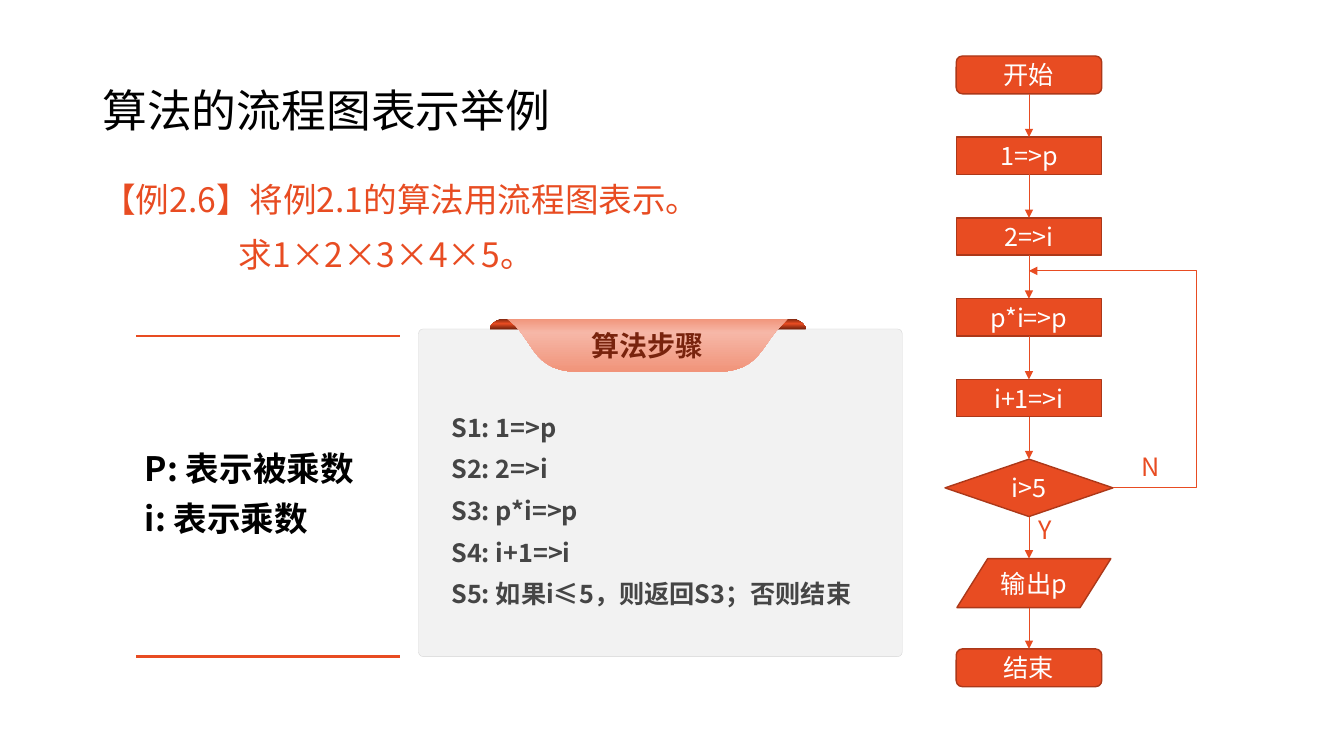
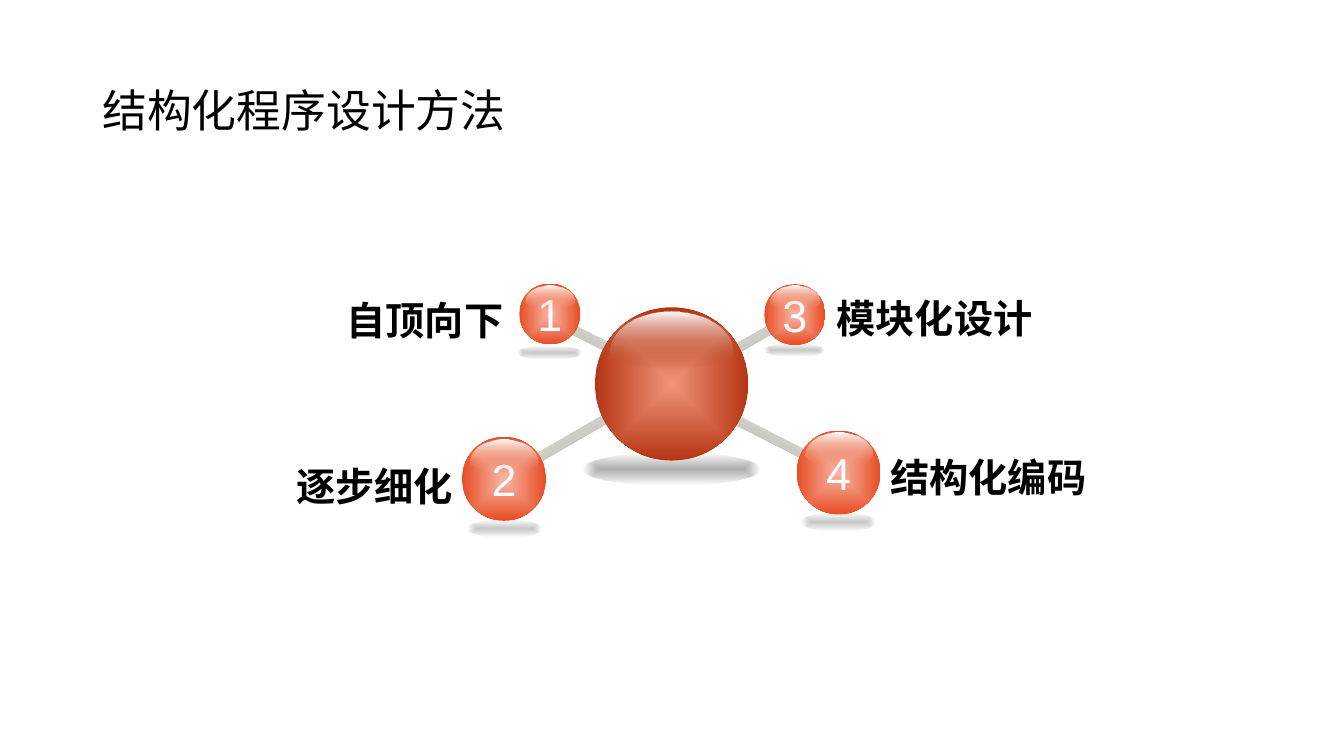
"""Build two slides: a flowchart example and structured programming methods."""
import math

import lxml.etree
import pptx
import pptx.dml.color
import pptx.enum.shapes
import pptx.enum.text
import pptx.oxml.ns
import pptx.util

Pt = pptx.util.Pt
RGB = pptx.dml.color.RGBColor.from_string
MSO = pptx.enum.shapes.MSO_SHAPE
STRAIGHT = pptx.enum.shapes.MSO_CONNECTOR.STRAIGHT
ALIGN = pptx.enum.text.PP_ALIGN
ANCHOR = pptx.enum.text.MSO_ANCHOR
qn = pptx.oxml.ns.qn
SubElement = lxml.etree.SubElement

FONT = "Noto Sans CJK SC"
COLORS = {
    "black": "000000", "white": "FFFFFF", "accent": "E84C22", "edge": "AC3819",
    "dark": "78230D", "deep": "B53513", "coral": "F1947A", "pale": "F6B7A7",
    "panel": "F2F2F2", "panel_edge": "D5D5D5", "gray": "454545",
    "bar_dark": "ABAB9F", "bar_light": "EEEEEC",
}


def add_text(sp, lines, size, color, bold=False, align=ALIGN.LEFT, anchor=ANCHOR.MIDDLE,
             insets=(7.2, 3.6, 7.2, 3.6), spacing=1.0, before=0, after=0, font=FONT):
    tf = sp.text_frame
    tf.word_wrap = True
    tf.vertical_anchor = anchor
    tf.margin_left, tf.margin_top, tf.margin_right, tf.margin_bottom = map(Pt, insets)
    for i, line in enumerate(lines):
        p = tf.add_paragraph() if i else tf.paragraphs[0]
        p.alignment = align
        p.line_spacing = spacing
        p.space_before = Pt(before if i else 0)
        p.space_after = Pt(after)
        r = p.add_run()
        r.text = line
        r.font.name = font
        r.font.size = Pt(size)
        r.font.bold = bold
        r.font.color.rgb = RGB(COLORS[color])
        SubElement(r._r.get_or_add_rPr(), qn("a:ea"), typeface=font)


def add_gradient(sp, stops, radial=False):
    sp.shadow.inherit = False
    sp.line.fill.background()
    sp.fill.gradient()
    grad = sp._element.spPr.find(qn("a:gradFill"))
    for child in list(grad):
        grad.remove(child)
    gs_list = SubElement(grad, qn("a:gsLst"))
    for pos, color, alpha in stops:
        gs = SubElement(gs_list, qn("a:gs"), pos=str(pos * 1000))
        clr = SubElement(gs, qn("a:srgbClr"), val=COLORS[color])
        if alpha < 100:
            SubElement(clr, qn("a:alpha"), val=str(alpha * 1000))
    if radial:
        node = SubElement(grad, qn("a:path"), path="circle" if radial == "circle" else "shape")
        SubElement(node, qn("a:fillToRect"), l="50000", t="50000", r="50000", b="50000")
    else:
        SubElement(grad, qn("a:lin"), ang="5400000", scaled="0")


prs = pptx.Presentation()
prs.slide_width, prs.slide_height = Pt(960), Pt(540)
slides = []
for title in ("算法的流程图表示举例", "结构化程序设计方法"):
    s = prs.slides.add_slide(prs.slide_layouts[6])
    sp = s.shapes.add_textbox(Pt(66), Pt(29), Pt(828), Pt(104))
    add_text(sp, [title], 32, "black", spacing=0.9)
    slides.append(s)

s = slides[0]
sp = s.shapes.add_textbox(Pt(66), Pt(124.5), Pt(600), Pt(90))
add_text(sp, ["【例2.6】将例2.1的算法用流程图表示。", "求1×2×3×4×5。"], 24, "accent",
         anchor=ANCHOR.TOP, before=10)
pPr = sp.text_frame.paragraphs[1]._p.get_or_add_pPr()
pPr.set("marL", str(Pt(97.5)))
pPr.set("indent", "0")

sp = s.shapes.add_textbox(Pt(97.5), Pt(240), Pt(188), Pt(229))
add_text(sp, ["P: 表示被乘数", "i: 表示乘数"], 24, "black", True, ALIGN.JUSTIFY,
         insets=(6, 6, 6, 6), spacing=0.83, before=6, after=6)

sp = s.shapes.add_shape(MSO.ROUNDED_RECTANGLE, Pt(299), Pt(235), Pt(345.5), Pt(234))
sp.adjustments[0] = 0.014
sp.shadow.inherit = False
sp.fill.solid()
sp.fill.fore_color.rgb = RGB(COLORS["panel"])
sp.line.color.rgb = RGB(COLORS["panel_edge"])
sp.line.width = Pt(0.25)
add_text(sp, ["S1: 1=>p", "S2: 2=>i", "S3: p*i=>p", "S4: i+1=>i",
              "S5: 如果i≤5，则返回S3；否则结束"], 18, "gray", True, ALIGN.JUSTIFY,
         insets=(22.5, 57, 22.5, 28), spacing=0.82, before=6, after=6)

fold_stops = [(0, "dark", 100), (49, "accent", 100), (100, "dark", 100)]
band_stops = [(0, "coral", 100), (26, "pale", 100), (100, "coral", 100)]
ribbon = [
    (fold_stops, [(360, 227.5), (363.5, 227.5), (366, 228), (369.5, 229, 372, 231, 374, 234),
                  (374, 235), (350, 235), (350, 234), (351.5, 231, 354, 229, 358, 228)]),
    (fold_stops, [(563, 227.5), (565.5, 227.5), (568, 228), (571, 229, 574, 231, 575.5, 234),
                  (575.5, 235), (553, 235), (553, 234), (554.5, 231, 557, 229, 561, 228)]),
    (band_stops, [(362, 227.5), (563, 227.5), (557.5, 233), (544.5, 246, 542, 265.5, 512.5, 265.5),
                  (412.5, 265.5), (383, 265.5, 381, 246, 368, 232.5)]),
]
for stops, outline in ribbon:
    points = [outline[0]]
    for step in outline[1:]:
        if len(step) == 2:
            points.append(step)
            continue
        bezier = [points[-1], step[:2], step[2:4], step[4:]]
        for k in range(1, 13):
            t = k / 12
            weights = [math.comb(3, j) * t ** j * (1 - t) ** (3 - j) for j in range(4)]
            points.append(tuple(sum(w * c[axis] for w, c in zip(weights, bezier))
                                for axis in (0, 1)))
    points = [(Pt(x), Pt(y)) for x, y in points]
    fb = s.shapes.build_freeform(*points[0])
    fb.add_line_segments(points[1:], close=True)
    sp = fb.convert_to_shape()
    add_gradient(sp, stops)
add_text(sp, ["算法步骤"], 20, "dark", True, ALIGN.CENTER)

axis_x, step_y = 735, 57.7
nodes = [("开始", MSO.FLOWCHART_ALTERNATE_PROCESS, axis_x, 40, 104, 27)]
for i, label in enumerate(("1=>p", "2=>i", "p*i=>p", "i+1=>i")):
    nodes.append((label, MSO.FLOWCHART_PROCESS, axis_x, 98 + i * step_y, 104, 26.5))
nodes += [
    ("i>5", MSO.FLOWCHART_DECISION, axis_x, 328, 120, 41),
    ("输出p", MSO.FLOWCHART_DATA, 738.5, 399, 110, 35),
    ("结束", MSO.FLOWCHART_ALTERNATE_PROCESS, axis_x, 463.5, 104, 27),
]
flow = []
for label, kind, center, top, width, height in nodes:
    sp = s.shapes.add_shape(kind, Pt(center - width / 2), Pt(top), Pt(width), Pt(height))
    sp.shadow.inherit = False
    sp.fill.solid()
    sp.fill.fore_color.rgb = RGB(COLORS["accent"])
    sp.line.color.rgb = RGB(COLORS["edge"])
    sp.line.width = Pt(1)
    add_text(sp, [label], 18, "white", align=ALIGN.CENTER, insets=(0, 0, 0, 0))
    flow.append(sp)

fb = s.shapes.build_freeform(Pt(795), Pt(348.5))
fb.add_line_segments([(Pt(x), Pt(y)) for x, y in ((854.5, 348.5), (854.5, 193.5), (axis_x, 193.5))],
                     close=False)
sp = fb.convert_to_shape()
sp.fill.background()
lines = [(sp, 0.5, True)]
for a, b in zip(flow, flow[1:]):
    sp = s.shapes.add_connector(STRAIGHT, Pt(axis_x), a.top + a.height, Pt(axis_x), b.top)
    if a.auto_shape_type != MSO.FLOWCHART_DATA:
        sp.begin_connect(a, 2)
    if b.auto_shape_type != MSO.FLOWCHART_DATA:
        sp.end_connect(b, 0)
    lines.append((sp, 0.5, True))
for y in (240, 469):
    sp = s.shapes.add_connector(STRAIGHT, Pt(97.5), Pt(y), Pt(285.5), Pt(y))
    lines.append((sp, 2, False))
for sp, width, arrow in lines:
    sp.line.color.rgb = RGB(COLORS["accent"])
    sp.line.width = Pt(width)
    spPr = sp._element.spPr
    if arrow:
        SubElement(spPr.find(qn("a:ln")), qn("a:tailEnd"), type="triangle")
    SubElement(spPr, qn("a:effectLst"))

for label, x, y in (("Y", 735, 363.5), ("N", 808.5, 319)):
    sp = s.shapes.add_textbox(Pt(x), Pt(y), Pt(39), Pt(32))
    add_text(sp, [label], 18, "accent", anchor=ANCHOR.TOP)

s = slides[1]
bars = [(498, 243.5, 65, 330), (396, 242, 65, 27), (368.5, 309.5, 81.5, 330), (513.5, 307.5, 67, 27)]
for x, y, width, angle in bars:
    sp = s.shapes.add_shape(MSO.ROUNDED_RECTANGLE, Pt(x), Pt(y), Pt(width), Pt(6.5))
    sp.adjustments[0] = 0.45
    sp.rotation = angle
    add_gradient(sp, [(0, "bar_light", 100), (100, "bar_dark", 100)])

shadows = [(416, 323.5, 127, 23.5, 32), (334, 371, 52.5, 13, 22), (546, 245.5, 43, 9.5, 22),
           (369.5, 247, 46, 9.5, 22), (572.5, 366.5, 52.5, 13.5, 22)]
for x, y, width, height, alpha in shadows:
    sp = s.shapes.add_shape(MSO.OVAL, Pt(x), Pt(y), Pt(width), Pt(height))
    add_gradient(sp, [(0, "black", alpha), (97, "black", 0)], radial=True)

balls = [
    ("1", 371, 202.5, 43.5, "pale", "accent", "coral"),
    ("2", 330, 312, 60, "pale", "accent", "coral"),
    ("3", 546, 203, 43.5, "pale", "accent", "coral"),
    ("4", 569, 307.5, 60, "pale", "accent", "coral"),
    ("", 425, 219.5, 109.5, "coral", "deep", "deep"),
]
for number, x, y, size, inner, outer, fade in balls:
    sp = s.shapes.add_shape(MSO.OVAL, Pt(x), Pt(y), Pt(size), Pt(size))
    add_gradient(sp, [(0, inner, 100), (100, outer, 100)], radial=True)
    if number:
        add_text(sp, [number], 32, "white", align=ALIGN.CENTER, insets=(0, 0, 0, 0), font="Arial")
    points = []
    for k in range(48):
        t = 2 * math.pi * k / 48
        depth = 0.3 if math.sin(t) > 0 else 0.7
        points.append((Pt(x + size * (0.5 + 0.4 * math.cos(t))),
                       Pt(y + size * (0.03 + 0.37 * (0.7 + depth * math.sin(t))))))
    fb = s.shapes.build_freeform(*points[0])
    fb.add_line_segments(points[1:], close=True)
    add_gradient(fb.convert_to_shape(), [(0, "white", 100), (100, fade, 0)])

labels = [
    ("自顶向下", 169, 176.5, 197.5, ALIGN.RIGHT),
    ("逐步细化", 169, 295, 161.5, ALIGN.RIGHT),
    ("模块化设计", 590.5, 175, 188.5, ALIGN.LEFT),
    ("结构化编码", 629, 288.5, 219, ALIGN.LEFT),
]
for label, x, y, width, align in labels:
    sp = s.shapes.add_textbox(Pt(x), Pt(y), Pt(width), Pt(94.5))
    add_text(sp, [label], 28, "black", True, align, spacing=1.3)

prs.save("out.pptx")
